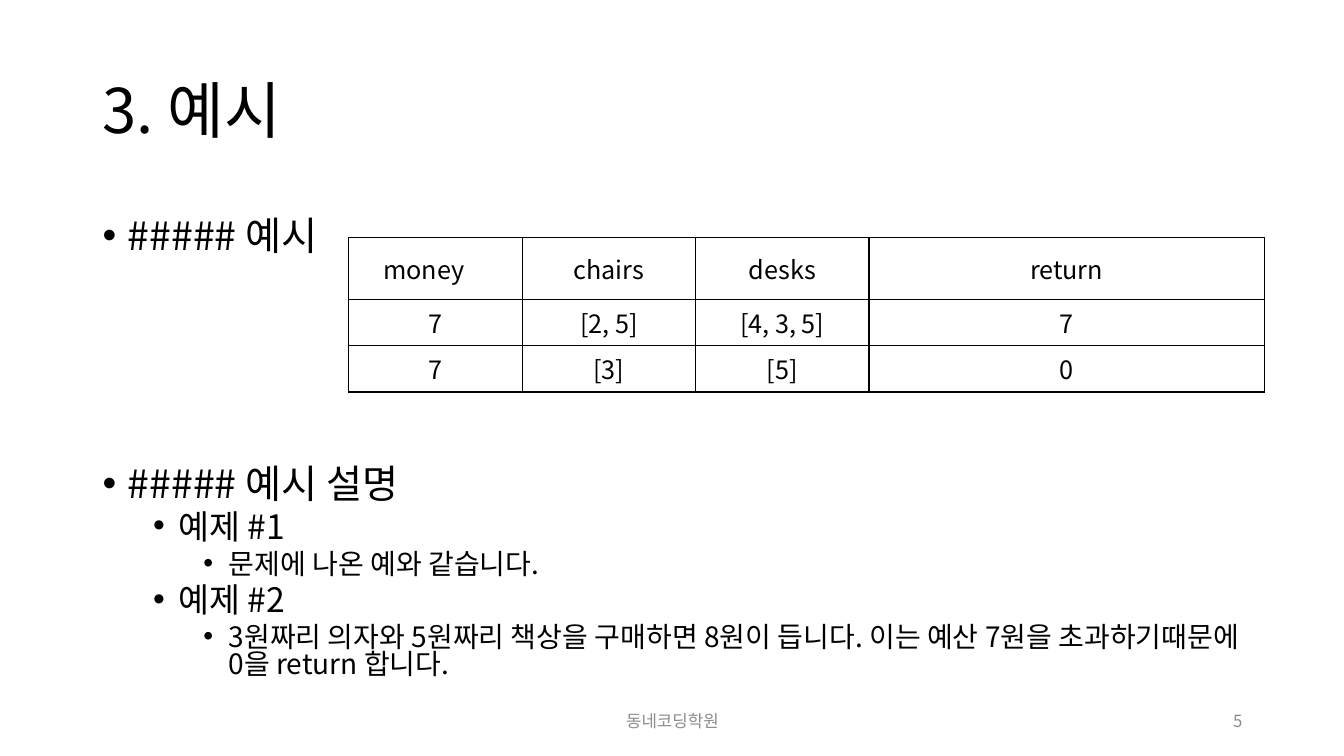
from lxml.etree import SubElement
from pptx import Presentation
from pptx.dml.color import RGBColor
from pptx.enum.text import MSO_ANCHOR as Anchor, PP_ALIGN as Align
from pptx.oxml import parse_xml
from pptx.oxml.ns import nsdecls, qn
from pptx.util import Inches, Pt

FONT = "Noto Sans CJK KR"
COLORS = {"text": "000000", "border": "000000", "paper": "FFFFFF", "footer": "8C8C8C"}

# Size, space before and left indent of each outline level
LEVELS = [(28, 10, 0.25), (24, 5, 0.75), (20, 5, 1.25)]
HANGING = 0.25

EXAMPLES = [
    ["money", "chairs", "desks", "return"],
    ["7", "[2, 5]", "[4, 3, 5]", "7"],
    ["7", "[3]", "[5]", "0"],
]
EXPLANATION = [
    (0, "##### 예시 설명"),
    (1, "예제 #1"),
    (2, "문제에 나온 예와 같습니다."),
    (1, "예제 #2"),
    (2, "3원짜리 의자와 5원짜리 책상을 구매하면 8원이 듭니다. "
        "이는 예산 7원을 초과하기때문에 0을 return 합니다."),
]


def write(paragraph, text, size=18, color="text", align=Align.LEFT, spacing=None, before=None):
    """Put formatted text into a paragraph."""
    paragraph.alignment = align
    paragraph.line_spacing = spacing
    if before is not None:
        paragraph.space_before = Pt(before)
    run = paragraph.add_run()
    run.text = text
    run.font.size = Pt(size)
    run.font.name = FONT
    run.font.color.rgb = RGBColor.from_string(COLORS[color])
    SubElement(run.font._element, qn("a:ea")).set("typeface", FONT)


def add_frame(slide, box, anchor=Anchor.TOP):
    frame = slide.shapes.add_textbox(*map(Inches, box)).text_frame
    frame.word_wrap = True
    frame.vertical_anchor = anchor
    return frame


def add_line(slide, box, text, **style):
    """Place one line of text, centred vertically in its box."""
    write(add_frame(slide, box, Anchor.MIDDLE).paragraphs[0], text, **style)


def add_outline(slide, box, items, spacing):
    """Place a bulleted outline of (level, text) items."""
    frame = add_frame(slide, box)
    for index, (level, text) in enumerate(items):
        paragraph = frame.paragraphs[0] if index == 0 else frame.add_paragraph()
        size, before, indent = LEVELS[level]
        paragraph.level = level
        properties = paragraph._p.get_or_add_pPr()
        properties.set("marL", str(Inches(indent)))
        properties.set("indent", str(-Inches(HANGING)))
        SubElement(properties, qn("a:buFont")).set("typeface", "Arial")
        SubElement(properties, qn("a:buChar")).set("char", "•")
        write(paragraph, text, size=size, spacing=spacing, before=before if index else None)


def set_borders(cell):
    properties = cell._tc.get_or_add_tcPr()
    for position, side in enumerate(["lnL", "lnR", "lnT", "lnB"]):
        properties.insert(position, parse_xml(
            f'<a:{side} {nsdecls("a")} w="{Pt(1)}"><a:solidFill>'
            f'<a:srgbClr val="{COLORS["border"]}"/></a:solidFill></a:{side}>'))


def add_examples(slide, box, rows, widths, heights):
    """Place the table of inputs and results."""
    table = slide.shapes.add_table(len(rows), len(widths), *map(Inches, box)).table
    table.first_row = table.horz_banding = False
    for column, width in zip(table.columns, widths):
        column.width = Inches(width)
    for row, height, texts in zip(table.rows, heights, rows):
        row.height = Inches(height)
        for cell, text in zip(row.cells, texts):
            cell.fill.solid()
            cell.fill.fore_color.rgb = RGBColor.from_string(COLORS["paper"])
            cell.vertical_anchor = Anchor.MIDDLE
            set_borders(cell)
            write(cell.text_frame.paragraphs[0], text, align=Align.CENTER)
    # The first heading sits a little left of centre
    table.cell(0, 0).margin_right = Inches(0.33)


def add_footer(slide, left, top, height):
    style = {"size": 12, "color": "footer"}
    add_line(slide, (left, top, 4.5, height), "동네코딩학원", align=Align.CENTER, **style)
    add_line(slide, (left + 5, top, 3, height), "5", align=Align.RIGHT, **style)


def build_example_slide(presentation):
    slide = presentation.slides.add_slide(presentation.slide_layouts[6])
    left, width = 0.92, 11.5

    # Title
    add_line(slide, (left, 0.4, width, 1.45), "3. 예시", size=44, spacing=0.9)

    # Example heading and table
    add_outline(slide, (left, 2, 2.5, 0.7), [(0, "##### 예시")], spacing=1.1)
    add_examples(slide, (3.46, 2.36, 9.08, 1.53), EXAMPLES,
                 widths=[1.72] * 3 + [3.92], heights=[0.61, 0.46, 0.46])

    # Explanation
    add_outline(slide, (left, 4.6, width, 2.3), EXPLANATION, spacing=0.8)

    # Footer
    add_footer(slide, 4.42, 6.95, 0.4)


def main():
    presentation = Presentation()
    presentation.slide_width = Inches(13.33)
    presentation.slide_height = Inches(7.5)
    build_example_slide(presentation)
    presentation.save("out.pptx")


if __name__ == "__main__":
    main()
